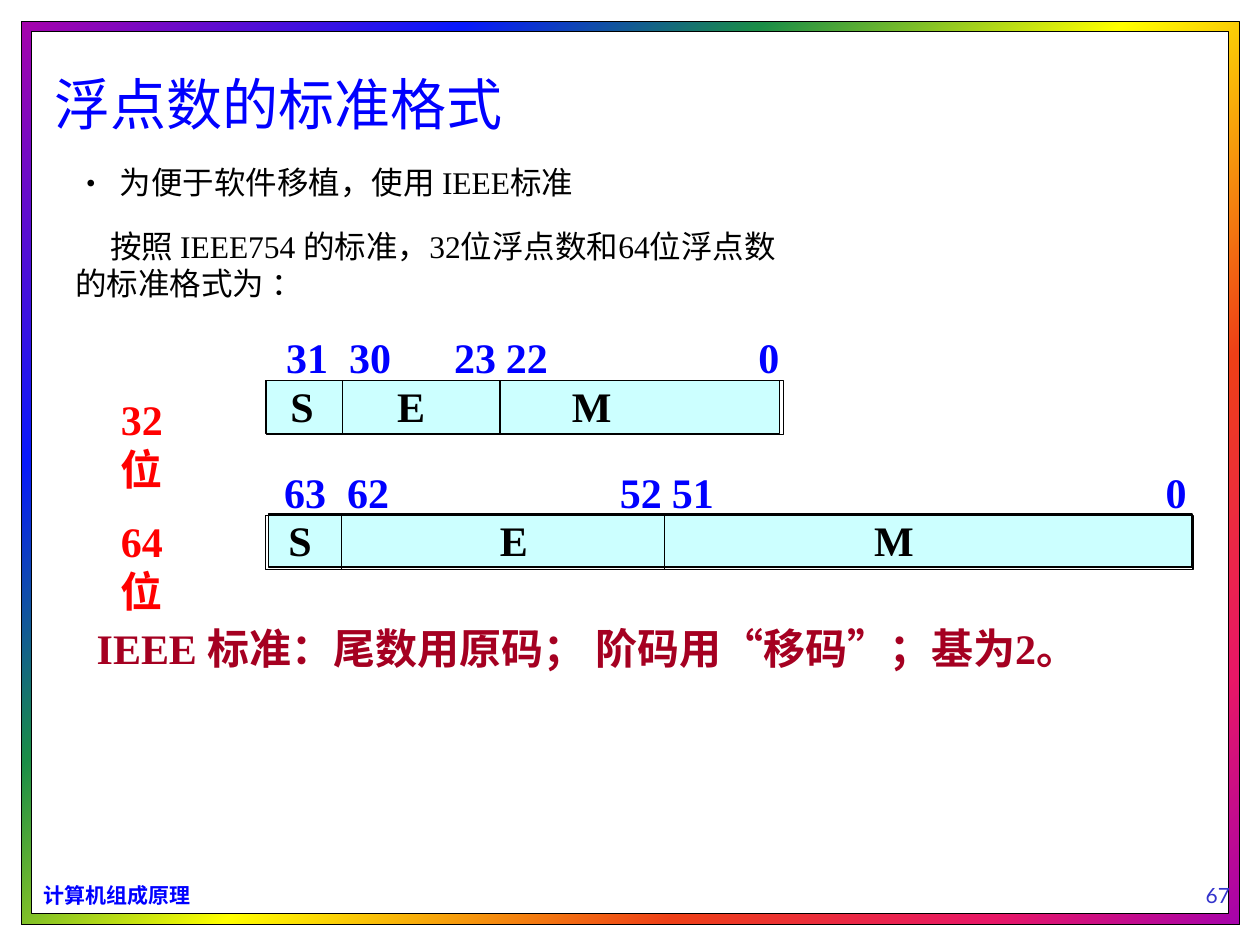
import lxml.etree
import pptx
import pptx.dml.color
import pptx.enum.shapes
import pptx.enum.text
import pptx.oxml
import pptx.oxml.ns
import pptx.util

Cm = pptx.util.Cm
Pt = pptx.util.Pt
qn = pptx.oxml.ns.qn
align = pptx.enum.text.PP_ALIGN
anchor = pptx.enum.text.MSO_ANCHOR
rgb = pptx.dml.color.RGBColor.from_string
sans, serif = "Noto Sans CJK SC", "Times New Roman"

deck = pptx.Presentation()
deck.slide_width, deck.slide_height = Cm(25.4), Cm(19.05)
slide = deck.slides.add_slide(deck.slide_layouts[5])
shapes = slide.shapes


def rect(left, top, width, height, fill=None):
    box = shapes.add_shape(pptx.enum.shapes.MSO_SHAPE.RECTANGLE,
                           Cm(left), Cm(top), Cm(width), Cm(height))
    box.shadow.inherit = False
    box.line.color.rgb = rgb("000000")
    box.line.width = Pt(0.75)
    if fill:
        box.fill.solid()
        box.fill.fore_color.rgb = rgb(fill)
    else:
        box.fill.background()
    return box


def write(text, place, size, hue, bold=False, name=serif, side=align.LEFT,
          mid=anchor.TOP, wrap=False, box=None):
    left, top, width, height = map(Cm, place)
    box = box or shapes.add_textbox(left, top, width, height)
    spots = {"left": left, "top": top, "width": width, "height": height}
    for key, val in spots.items():
        setattr(box, key, val)
    frame = box.text_frame
    frame.text = text
    form = {"margin_left": 0, "margin_right": 0, "margin_top": 0,
            "margin_bottom": 0, "word_wrap": wrap, "vertical_anchor": mid,
            "auto_size": pptx.enum.text.MSO_AUTO_SIZE.NONE}
    for key, val in form.items():
        setattr(frame, key, val)
    for para in frame.paragraphs:
        para.alignment = side
        for run in para.runs:
            for key, val in {"size": Pt(size), "bold": bold, "name": name}.items():
                setattr(run.font, key, val)
            run.font.color.rgb = rgb(hue)
            east = lxml.etree.Element(qn("a:ea"), typeface=sans)
            run.font._element.find(qn("a:latin")).addnext(east)
    return frame


rim = rect(0.43, 0.43, 24.56, 18.21)
rim.fill.gradient()
rim.fill.gradient_angle = 315
stops = rim._element.spPr.find(qn("a:gradFill")).find(qn("a:gsLst"))
for stop in list(stops):
    stops.remove(stop)
for pos, hue in [(0, "A603AB"), (21, "0819FB"), (35, "1A8D48"), (52, "FFFF00"),
                 (73, "EE3F17"), (88, "E81766"), (100, "A603AB")]:
    stop = lxml.etree.SubElement(stops, qn("a:gs"), pos=str(pos * 1000))
    lxml.etree.SubElement(stop, qn("a:srgbClr"), val=hue)
rect(0.64, 0.64, 24.13, 17.78, "FFFFFF")

title = shapes.title
shapes._spTree.append(title._element)
write("浮点数的标准格式", (1.1, 1.4, 10, 1.4), 32, "0000FF", name=sans, box=title)

point = write("为便于软件移植，使用 IEEE标准", (1.52, 3.28, 13.2, 1), 18, "000000")
props = point.paragraphs[0]._p.get_or_add_pPr()
for key, val in {"marL": Cm(0.9), "indent": Cm(-0.9)}.items():
    props.set(key, str(int(val)))
lxml.etree.SubElement(props, qn("a:buFont"), typeface=sans)
lxml.etree.SubElement(props, qn("a:buChar"), char="•")

intro = write("按照 IEEE754 的标准，32位浮点数和64位浮点数\n的标准格式为 ：",
              (1.52, 4.57, 22.8, 2), 18, "000000")
intro.paragraphs[0]._p.get_or_add_pPr().set("indent", str(int(Cm(0.7))))

rows = [
    (7.67, ((5.36, 7.67, 10.36, 1.07), (5.38, 7.67, 10.41, 1.09)), (6.91, 10.08),
     [("31", 6.19), ("30", 7.46), ("23", 9.58), ("22", 10.62), ("0", 15.5)],
     [("S", 6.09), ("E", 8.29), ("M", 11.93)], "32位", 7.93),
    (10.38, ((5.41, 10.36, 18.62, 1.07), (5.36, 10.39, 18.69, 1.09)), (6.88, 13.39),
     [("63", 6.15), ("62", 7.42), ("52", 12.92), ("51", 13.97), ("0", 23.71)],
     [("S", 6.05), ("E", 10.36), ("M", 18.02)], "64位", 10.39),
]
for top, (back, edge), cuts, bits, parts, width, high in rows:
    rect(*back, "CCFFFF")
    rect(*edge)
    for cut in cuts:
        line = shapes.add_connector(pptx.enum.shapes.MSO_CONNECTOR.STRAIGHT,
                                    Cm(cut), Cm(top), Cm(cut), Cm(top + 1.09))
        line.line.color.rgb = rgb("000000")
        line.line.width = Pt(0.75)
        lxml.etree.SubElement(line._element.spPr, qn("a:effectLst"))
    for marks, shift, hue in [(bits, -1.07, "0000FF"), (parts, -0.1, "000000")]:
        for mark, mid in marks:
            write(mark, (mid - 0.6, top + shift, 1.2, 1.2), 24, hue, True,
                  side=align.CENTER, mid=anchor.MIDDLE)
    write(width, (2.44, high, 1.5, 2.1), 24, "FF0000", True, wrap=True)

write("IEEE 标准：尾数用原码； 阶码用“移码”；基为2。",
      (1.95, 12.55, 21.3, 1.2), 24, "A50021", True)
write("计算机组成原理", (0.88, 17.8, 3.2, 0.6), 12, "0000FF", True, sans)
write("67", (23.55, 17.75, 2, 0.6), 12, "3333CC", name="Lato",
      side=align.CENTER, mid=anchor.MIDDLE)

deck.save("out.pptx")
